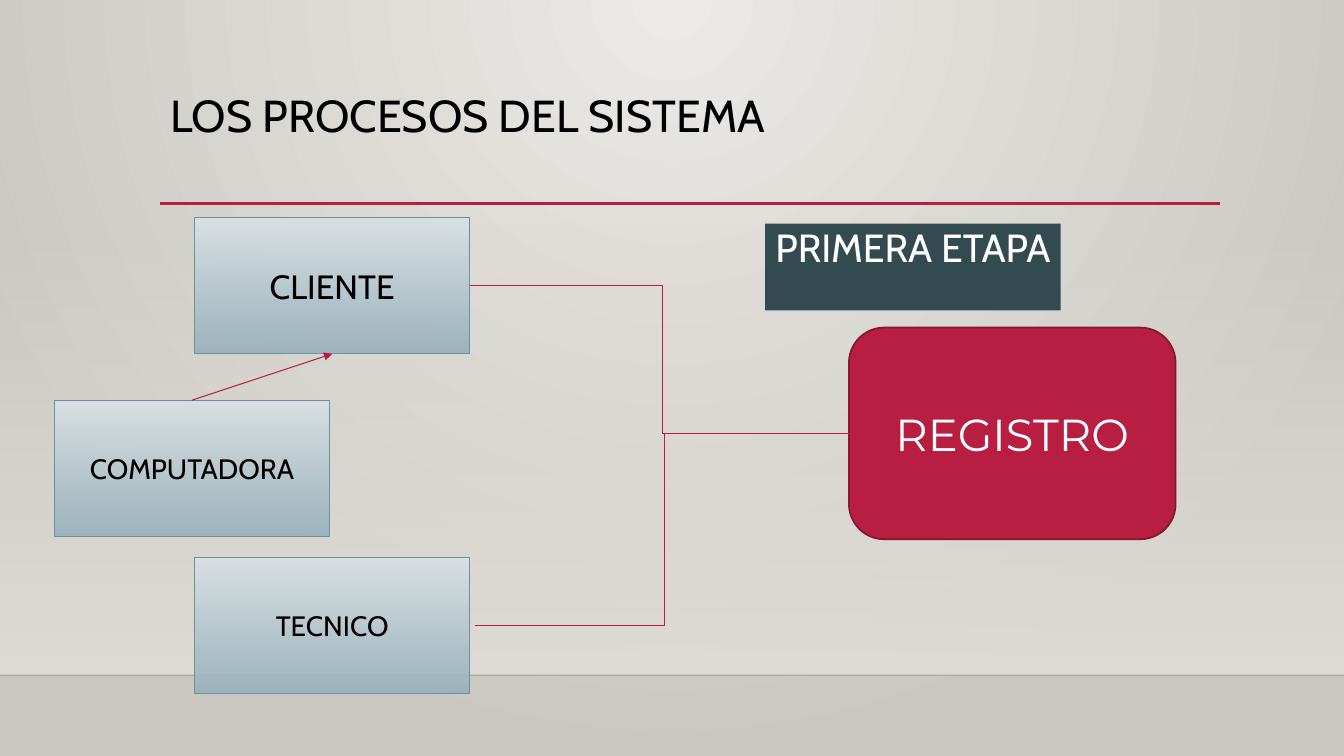
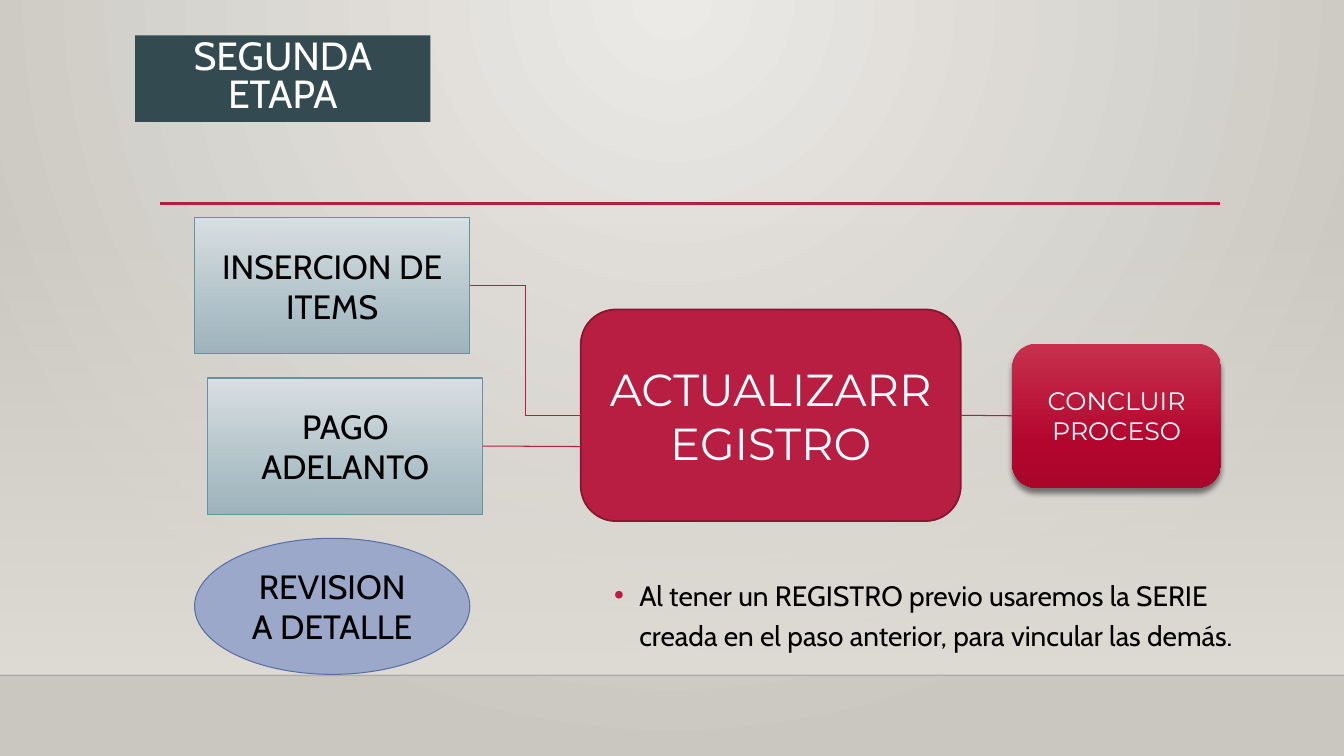
from lxml import etree
from pptx import Presentation
from pptx.dml.color import RGBColor
from pptx.enum.shapes import MSO_CONNECTOR, MSO_SHAPE
from pptx.enum.text import MSO_ANCHOR, MSO_AUTO_SIZE, PP_ALIGN
from pptx.oxml.ns import qn
from pptx.util import Inches, Pt

RECTANGLE, ROUNDED, ELLIPSE = MSO_SHAPE.RECTANGLE, MSO_SHAPE.ROUNDED_RECTANGLE, MSO_SHAPE.OVAL
STRAIGHT, ELBOW = MSO_CONNECTOR.STRAIGHT, MSO_CONNECTOR.ELBOW
LEFT, CENTER = PP_ALIGN.LEFT, PP_ALIGN.CENTER
TOP, MIDDLE = MSO_ANCHOR.TOP, MSO_ANCHOR.MIDDLE
SIDE_LEFT, SIDE_BOTTOM, SIDE_RIGHT, SIDE_TOP = 1, 2, 3, 0

COLORS = {
    "black": "000000", "white": "FFFFFF", "horizon": "000001",
    "page_light": "ECEAE7", "page_dark": "CAC7C1", "haze": "DFDBD5",
    "red": "B71E42", "red_edge": "871631",
    "red_light": "C7304C", "red_deep": "B3062F", "red_dark": "AA062C",
    "box_light": "D9E1E4", "box_dark": "9AB2BC", "box_edge": "6892A0",
    "badge": "334A51", "oval": "9BA8CA", "oval_edge": "586EA6",
}
BODY_FONT, PROCESS_FONT = "Cabin", "Montserrat"

# Gradient stops: position in percent, colour, opacity in percent
PAGE_STOPS = [(0, "page_light", 100), (100, "page_dark", 100)]
HAZE_STOPS = [(0, "haze", 0), (100, "haze", 100)]
BOX_STOPS = [(0, "box_light", 100), (100, "box_dark", 92)]
FINISH_STOPS = [(0, "red_light", 100), (69, "red_deep", 100), (100, "red_dark", 100)]

BOX_SIZE = (2.73, 1.35)
BADGE_SIZE = (2.93, 0.86)
BOX_LEFT = 1.93


def rgb(name):
    return RGBColor.from_string(COLORS[name])


def add_element(parent, tag, **attributes):
    element = etree.SubElement(parent, qn(tag))
    for key, value in attributes.items():
        element.set(key, str(value))
    return element


def add_color(parent, name, opacity=100):
    color = add_element(parent, "a:srgbClr", val=COLORS[name])
    if opacity < 100:
        add_element(color, "a:alpha", val=opacity * 1000)


def set_gradient(fill, owner, stops, radial=False):
    """Fill from top to bottom, or in circles around the top centre."""
    fill.gradient()
    gradient = next(owner.iter(qn("a:gradFill")))
    gradient.clear()
    gradient.set("rotWithShape", "1")
    stop_list = add_element(gradient, "a:gsLst")
    for position, color, opacity in stops:
        add_color(add_element(stop_list, "a:gs", pos=position * 1000), color, opacity)
    if radial:
        circle = add_element(gradient, "a:path", path="circle")
        add_element(circle, "a:fillToRect", l=43000, t=0, r=43000, b=100000)
    else:
        add_element(gradient, "a:lin", ang=5400000, scaled=0)


def place(shape, left, top, width, height):
    shape.left, shape.top = Inches(left), Inches(top)
    shape.width, shape.height = Inches(width), Inches(height)


def write(shape, text, size, color="black", font=BODY_FONT, align=CENTER,
          anchor=MIDDLE, spacing=1.0):
    frame = shape.text_frame
    frame.text = text
    frame.word_wrap = True
    frame.auto_size = MSO_AUTO_SIZE.NONE
    frame.vertical_anchor = anchor
    paragraph = frame.paragraphs[0]
    paragraph.alignment = align
    paragraph.line_spacing = spacing
    for run in paragraph.runs:
        run.font.name, run.font.size = font, Pt(size)
        run.font.color.rgb = rgb(color)
    return paragraph


def add_figure(slide, kind, position, size, fill, edge=None, edge_width=0.75):
    """Add a preset shape; fill is a colour name or a list of stops."""
    shape = slide.shapes.add_shape(kind, *map(Inches, (*position, *size)))
    shape.shadow.inherit = False
    if isinstance(fill, str):
        shape.fill.solid()
        shape.fill.fore_color.rgb = rgb(fill)
    else:
        set_gradient(shape.fill, shape.element, fill)
    if edge:
        shape.line.color.rgb = rgb(edge)
        shape.line.width = Pt(edge_width)
    else:
        shape.line.fill.background()
    return shape


def add_box(slide, left, top, text, size=24):
    box = add_figure(slide, RECTANGLE, (left, top), BOX_SIZE, BOX_STOPS, "box_edge")
    write(box, text, size)
    return box


def add_process(slide, left, top, width, text):
    process = add_figure(slide, ROUNDED, (left, top), (width, 2.1), "red", "red_edge", 1.25)
    write(process, text, 32, "white", PROCESS_FONT)
    return process


def add_finish(slide, left, top, text):
    finish = add_figure(slide, ROUNDED, (left, top), (2.07, 1.43), FINISH_STOPS)
    write(finish, text, 18, "white", PROCESS_FONT)
    effects = next(finish.element.iter(qn("a:effectLst")))
    shadow = add_element(effects, "a:outerShdw", blurRad=Pt(4), dist=Pt(4),
                         dir=5400000, rotWithShape=0)
    add_color(shadow, "black", 48)
    return finish


def write_badge(shape, text, spacing):
    write(shape, text, 28, "white", anchor=TOP, spacing=spacing)


def add_line(slide, kind, begin, end, color="red", width=0.75, bend=None, arrow=False):
    """Join two ends, each a point in inches or a (shape, side) pair."""
    joined = [not isinstance(point[0], (int, float)) for point in (begin, end)]
    start = (0, 0) if joined[0] else begin
    finish = (0, 0) if joined[1] else end
    line = slide.shapes.add_connector(kind, *map(Inches, (*start, *finish)))
    if joined[0]:
        line.begin_connect(*begin)
    if joined[1]:
        line.end_connect(*end)
    line.line.color.rgb = rgb(color)
    line.line.width = Pt(width)
    properties = line.element.spPr
    if bend:
        geometry = properties.find(qn("a:prstGeom"))
        guides = geometry.find(qn("a:avLst"))
        if guides is None:
            guides = add_element(geometry, "a:avLst")
        add_element(guides, "a:gd", name="adj1", fmla=f"val {round(bend * 100000)}")
    if arrow:
        add_element(properties.find(qn("a:ln")), "a:tailEnd", type="triangle")
    add_element(properties, "a:effectLst")
    return line


def build_master(presentation, slide):
    """Draw the shared backdrop once and move it to the slide master."""
    master = presentation.slide_master
    set_gradient(master.background.fill, master.element, PAGE_STOPS, radial=True)
    haze = add_figure(slide, RECTANGLE, (0, 2.21), (13.33, 4.49), HAZE_STOPS)
    horizon = add_line(slide, STRAIGHT, (0, 6.7), (13.33, 6.7), "horizon", 1)
    add_element(next(horizon.element.iter(qn("a:srgbClr"))), "a:alpha", val=20000)
    rule = add_line(slide, STRAIGHT, (1.59, 2.02), (12.1, 2.02), width=2.5)
    for number, shape in enumerate((haze, horizon, rule), start=20):
        next(shape.element.iter(qn("p:cNvPr"))).set("id", str(number))
        master.shapes.element.append(shape.element)


def build_first_stage(slide):
    title = slide.shapes.title
    place(title, 1.59, 0.88, 10.5, 1.15)
    write(title, "LOS PROCESOS DEL SISTEMA", 32, align=LEFT, anchor=TOP, spacing=0.9)

    # Participants and the record they lead to
    record = add_process(slide, 8.42, 3.25, 3.24, "REGISTRO")
    client = add_box(slide, BOX_LEFT, 2.16, "CLIENTE")
    computer = add_box(slide, 0.54, 3.97, "COMPUTADORA", 20)
    add_box(slide, BOX_LEFT, 5.53, "TECNICO", 20)

    # Flow
    add_line(slide, ELBOW, (client, SIDE_RIGHT), (record, SIDE_LEFT), bend=0.508)
    add_line(slide, ELBOW, (4.71, 6.21), (8.47, 4.3))
    add_line(slide, STRAIGHT, (computer, SIDE_TOP), (client, SIDE_BOTTOM), arrow=True)

    badge = add_figure(slide, RECTANGLE, (7.59, 2.22), BADGE_SIZE, "badge")
    write_badge(badge, "PRIMERA ETAPA", 0.9)


def build_second_stage(slide):
    # The title is the stage badge
    title = slide.shapes.title
    place(title, 1.34, 0.35, *BADGE_SIZE)
    title.fill.solid()
    title.fill.fore_color.rgb = rgb("badge")
    write_badge(title, "SEGUNDA ETAPA", 0.8)

    # Bulleted note
    note = slide.placeholders[1]
    place(note, 5.99, 5.62, 6.44, 1.35)
    paragraph = write(note, "Al tener un REGISTRO previo usaremos la SERIE creada en el paso "
                      "anterior, para vincular las demás.", 20, align=LEFT, anchor=TOP,
                      spacing=1.2)
    paragraph.space_before = Pt(10)
    properties = next(paragraph.runs[0].font.fill and note.element.iter(qn("a:pPr")))
    properties.set("marL", str(Inches(0.25)))
    properties.set("indent", str(Inches(-0.25)))
    add_color(add_element(properties, "a:buClr"), "red")
    add_element(properties, "a:buFont", typeface="Arial")
    add_element(properties, "a:buChar", char="•")

    # Steps
    update = add_process(slide, 5.76, 3.07, 3.77, "ACTUALIZARREGISTRO")
    items = add_box(slide, BOX_LEFT, 2.16, "INSERCION DE ITEMS")
    payment = add_box(slide, 2.06, 3.75, "PAGO ADELANTO")
    review = add_figure(slide, ELLIPSE, (BOX_LEFT, 5.34), BOX_SIZE, "oval", "oval_edge")
    write(review, "REVISION A DETALLE", 24)
    finish = add_finish(slide, 10.04, 3.41, "CONCLUIR PROCESO")

    # Flow
    add_line(slide, ELBOW, (items, SIDE_RIGHT), (update, SIDE_LEFT))
    add_line(slide, STRAIGHT, (payment, SIDE_RIGHT), (5.76, 4.43))
    add_line(slide, STRAIGHT, (update, SIDE_RIGHT), (finish, SIDE_LEFT))


def main():
    presentation = Presentation()
    presentation.slide_width, presentation.slide_height = Inches(13.33), Inches(7.5)
    layouts = presentation.slide_layouts
    first = presentation.slides.add_slide(layouts.get_by_name("Title Only"))
    build_master(presentation, first)
    build_first_stage(first)
    build_second_stage(presentation.slides.add_slide(layouts.get_by_name("Title and Content")))
    presentation.save("out.pptx")


if __name__ == "__main__":
    main()
